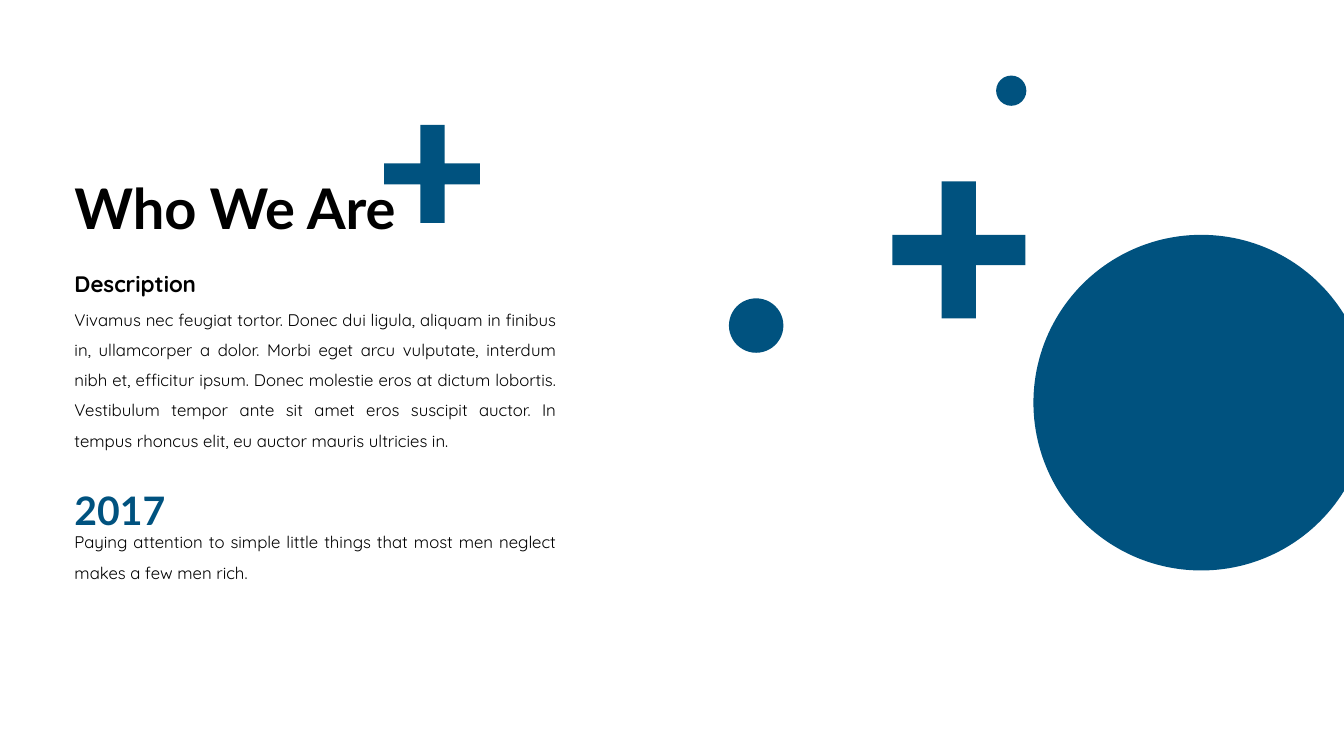
"""Build the "Who We Are" slide with text, circles and plus signs."""
from dataclasses import dataclass

from pptx import Presentation
from pptx.dml.color import RGBColor
from pptx.enum.shapes import MSO_SHAPE
from pptx.enum.text import MSO_ANCHOR, MSO_AUTO_SIZE, PP_ALIGN
from pptx.util import Inches, Pt


@dataclass
class Theme:
    blue: RGBColor = RGBColor(0x00, 0x52, 0x7F)
    black: RGBColor = RGBColor(0, 0, 0)
    head: str = "Lato"
    body: str = "Quicksand"
    title: int = 40
    year: int = 28
    label: int = 16
    text: int = 12


theme = Theme()
deck = Presentation()
deck.slide_width = Inches(13.33)
deck.slide_height = Inches(7.5)
slide = deck.slides.add_slide(deck.slide_layouts[6])
shapes = slide.shapes


def paint(shape):
    shape.shadow.inherit = False
    shape.fill.solid()
    shape.fill.fore_color.rgb = theme.blue
    shape.line.fill.background()


def add_text(text, place, size, font, color, bold):
    box = shapes.add_textbox(*map(Inches, place))
    frame = box.text_frame
    frame.word_wrap = True
    frame.auto_size = MSO_AUTO_SIZE.SHAPE_TO_FIT_TEXT
    frame.text = text
    para = frame.paragraphs[0]
    para.alignment = PP_ALIGN.JUSTIFY
    para.line_spacing = 1.5
    style = para.runs[0].font
    style.name = font
    style.size = Pt(size)
    style.bold = bold
    style.color.rgb = color
    return frame


for left, top, size in [(10.25, 2.33, 3.33), (7.23, 2.96, 0.54), (9.88, 0.75, 0.3)]:
    paint(shapes.add_shape(MSO_SHAPE.OVAL, Inches(left), Inches(top), Inches(size), Inches(size)))

pluses = [
    ((3.81, 4.17, 4.41, 4.76), (1.24, 1.62, 1.83, 2.21)),
    ((8.85, 9.34, 9.68, 10.17), (1.8, 2.33, 2.63, 3.16)),
]
corners = [(1, 0), (2, 0), (2, 1), (3, 1), (3, 2), (2, 2),
           (2, 3), (1, 3), (1, 2), (0, 2), (0, 1), (1, 1)]
for cols, rows in pluses:
    points = [(Inches(cols[col]), Inches(rows[row])) for col, row in corners]
    plus = shapes.build_freeform(*points[0])
    plus.add_line_segments(points[1:], close=True)
    paint(plus.convert_to_shape())

title = add_text("Who We Are", (0.64, 1.37, 5.08, 1.45),
                 theme.title, theme.head, theme.black, True)
title.auto_size = MSO_AUTO_SIZE.NONE
title.vertical_anchor = MSO_ANCHOR.MIDDLE
title.paragraphs[0].alignment = PP_ALIGN.LEFT
title.paragraphs[0].line_spacing = 0.9

add_text("Description", (0.64, 2.5, 2.96, 0.45),
         theme.label, theme.body, theme.black, True)
add_text("2017", (0.64, 4.54, 1.36, 0.71),
         theme.year, theme.head, theme.blue, True)

story = (
    "Vivamus nec feugiat tortor. Donec dui ligula, aliquam in finibus in, "
    "ullamcorper a dolor. Morbi eget arcu vulputate, interdum nibh et, "
    "efficitur ipsum. Donec molestie eros at dictum lobortis. Vestibulum "
    "tempor ante sit amet eros suscipit auctor. In tempus rhoncus elit, "
    "eu auctor mauris ultricies in."
)
quote = "Paying attention to simple little things that most men neglect makes a few men rich."
for text, top, height in [(story, 2.92, 1.62), (quote, 5.13, 0.67)]:
    add_text(text, (0.64, top, 4.98, height),
             theme.text, theme.body, theme.black, False)

deck.save("out.pptx")
